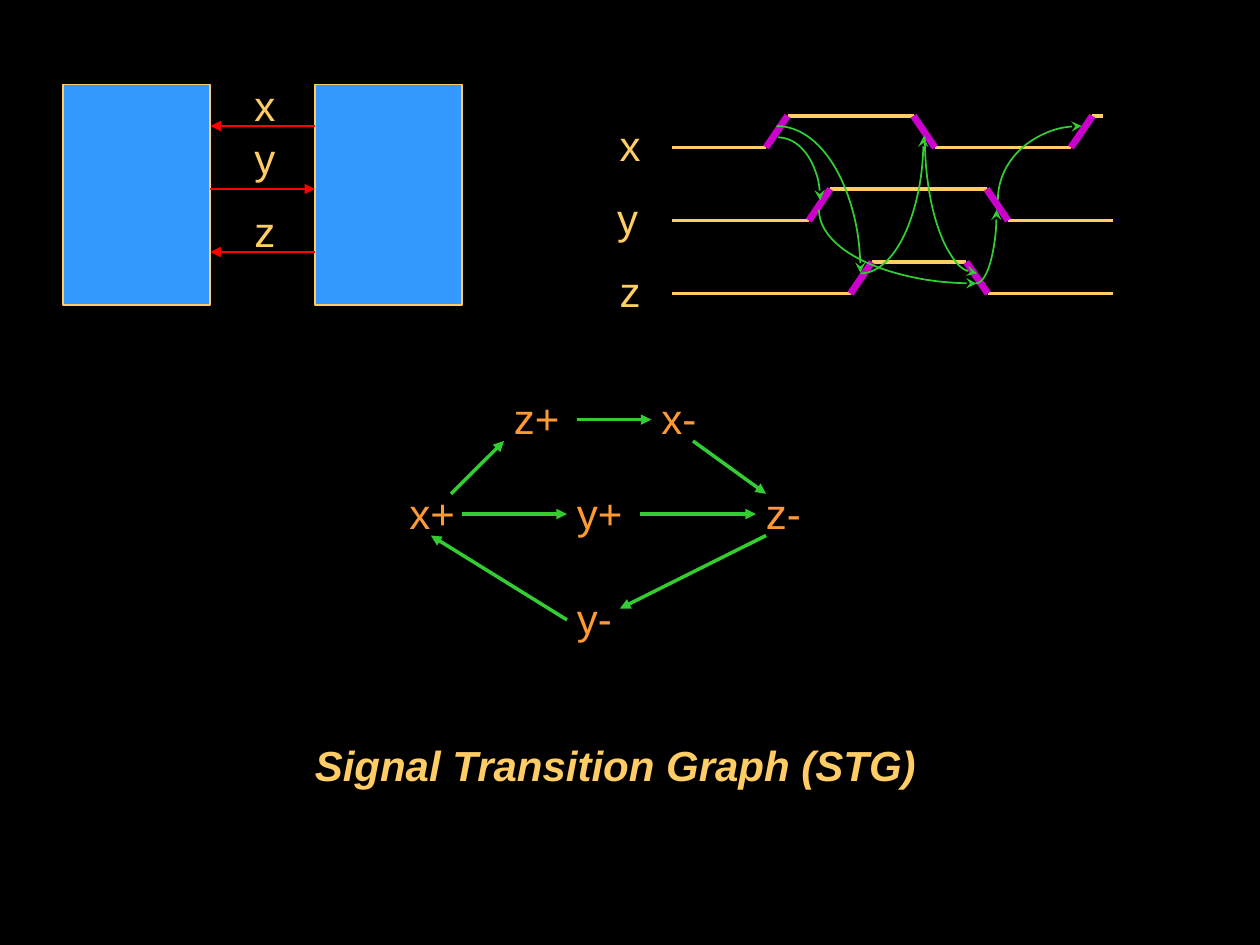
from lxml import etree
from pptx import Presentation
from pptx.dml.color import RGBColor
from pptx.enum.shapes import MSO_CONNECTOR, MSO_SHAPE
from pptx.enum.text import MSO_AUTO_SIZE
from pptx.oxml.ns import qn
from pptx.util import Inches, Pt

STRAIGHT = MSO_CONNECTOR.STRAIGHT
RECTANGLE = MSO_SHAPE.RECTANGLE
ARC = MSO_SHAPE.ARC
FIT_TEXT = MSO_AUTO_SIZE.SHAPE_TO_FIT_TEXT

BLACK = RGBColor(0x00, 0x00, 0x00)
GOLD = RGBColor(0xFF, 0xCC, 0x66)
ORANGE = RGBColor(0xFF, 0x99, 0x33)
BLUE = RGBColor(0x33, 0x99, 0xFF)
RED = RGBColor(0xFF, 0x00, 0x00)
GREEN = RGBColor(0x33, 0xCC, 0x33)
MAGENTA = RGBColor(0xCC, 0x00, 0xCC)

EDGE_WIDTH = 0.17
SWING = 0.25
LABEL_HEIGHT = 0.5

# name, label left, low level, left end, edge starts, right end
WAVEFORMS = [
    ("x", 4.82, 1.17, 5.33, [6.08, 7.25, 8.5], 8.75),
    ("y", 4.8, 1.75, 5.33, [6.42, 7.83], 8.83),
    ("z", 4.82, 2.33, 5.33, [6.75, 7.67], 8.83),
]

# ellipse left, top, width, height, start angle, arrowhead end
CAUSES = [
    (5.5, 1, 1.33, 2.33, 270, "tailEnd"),
    (5.84, 1.09, 0.67, 1, 270, "tailEnd"),
    (6.33, 0, 1, 2.17, 0, "headEnd"),
    (6.5, 1.08, 2.5, 1.17, 90, "headEnd"),
    (7.34, 0, 0.83, 2.17, 90, "headEnd"),
    (7.58, 1.08, 0.33, 1.17, 0, "headEnd"),
    (7.92, 1, 1.33, 1.17, 180, "tailEnd"),
]

# text, left, top, width
EVENTS = [
    ("x+", 3.15, 3.82, 0.56),
    ("x-", 5.15, 3.07, 0.48),
    ("y+", 4.48, 3.82, 0.56),
    ("y-", 4.48, 4.65, 0.48),
    ("z+", 3.98, 3.07, 0.56),
    ("z-", 5.98, 3.82, 0.48),
]

EVENT_ARROWS = [
    ((3.58, 3.92), (4, 3.5)),
    ((3.67, 4.08), (4.5, 4.08)),
    ((4.58, 3.33), (5.17, 3.33)),
    ((5.5, 3.5), (6.08, 3.92)),
    ((5.08, 4.08), (6, 4.08)),
    ((6.08, 4.25), (4.92, 4.83)),
    ((4.5, 4.92), (3.42, 4.25)),
]

BLOCK_LEFTS = (0.5, 2.5)
BLOCK_WIDTH = 1.17
# name, label top, from x, to x, wire y
WIRES = [
    ("x", 0.58, 2.5, 1.67, 1),
    ("y", 1, 1.67, 2.5, 1.5),
    ("z", 1.58, 2.5, 1.67, 2),
]


class Diagram:
    """Draws on one slide in a single style."""

    font_name = "Arial"
    font_size = Pt(24)

    def __init__(self, slide):
        self.slide = slide
        self.shapes = slide.shapes
        slide.background.fill.solid()
        slide.background.fill.fore_color.rgb = BLACK

    def label(self, text, left, top, width, color=GOLD, emphasis=False):
        box = self.shapes.add_textbox(
            Inches(left), Inches(top), Inches(width), Inches(LABEL_HEIGHT))
        frame = box.text_frame
        frame.word_wrap = False
        frame.auto_size = FIT_TEXT
        run = frame.paragraphs[0].add_run()
        run.text = text
        font = run.font
        font.name = self.font_name
        font.size = self.font_size
        font.bold = font.italic = emphasis
        font.color.rgb = color

    def stroke(self, shape, color, width):
        shape.line.color.rgb = color
        shape.line.width = Pt(width)

    def arrowhead(self, shape, end, kind):
        etree.SubElement(shape.get_or_add_ln(), qn(f"a:{end}"), type=kind)

    def line(self, start, stop, color, width, arrow=False):
        connector = self.shapes.add_connector(
            STRAIGHT, *(Inches(value) for value in (*start, *stop)))
        self.stroke(connector, color, width)
        if arrow:
            self.arrowhead(connector, "tailEnd", "triangle")
        etree.SubElement(connector._element.spPr, qn("a:effectLst"))

    def block(self, left, top, width, height):
        shape = self.shapes.add_shape(
            RECTANGLE, Inches(left), Inches(top), Inches(width), Inches(height))
        shape.shadow.inherit = False
        shape.fill.solid()
        shape.fill.fore_color.rgb = BLUE
        self.stroke(shape, GOLD, 1)

    def quarter_arc(self, left, top, width, height, angle, end):
        """Draw a clockwise quarter of the given ellipse from angle, in degrees."""
        shape = self.shapes.add_shape(
            ARC, Inches(left), Inches(top), Inches(width), Inches(height))
        shape.shadow.inherit = False
        # Angles are stored in 1/60000 degree, adjustments in 1/100000.
        shape.adjustments[0] = angle * 0.6
        shape.adjustments[1] = (angle + 90) % 360 * 0.6
        shape.fill.background()
        self.stroke(shape, GREEN, 1)
        self.arrowhead(shape, end, "stealth")

    def waveform(self, low, left, edges, right):
        """Draw a signal that starts low and toggles at each edge."""
        level, other = low, low - SWING
        position = left
        slopes = []
        for edge in edges:
            self.line((position, level), (edge, level), GOLD, 2)
            position = edge + EDGE_WIDTH
            slopes.append(((edge, level), (position, other)))
            level, other = other, level
        self.line((position, level), (right, level), GOLD, 2)
        for start, stop in slopes:
            self.line(start, stop, GOLD, 2)
            self.line(start, stop, MAGENTA, 4)


def main():
    presentation = Presentation()
    presentation.slide_width = Inches(10)
    presentation.slide_height = Inches(7.5)
    diagram = Diagram(presentation.slides.add_slide(presentation.slide_layouts[6]))

    for name, label_left, low, left, edges, right in WAVEFORMS:
        diagram.label(name, label_left, low - 0.27, 0.37)
        diagram.waveform(low, left, edges, right)
    for cause in CAUSES:
        diagram.quarter_arc(*cause)

    for event in EVENTS:
        diagram.label(*event, color=ORANGE)
    for start, stop in EVENT_ARROWS:
        diagram.line(start, stop, GREEN, 2, arrow=True)
    diagram.label("Signal Transition Graph (STG)", 2.4, 5.82, 4.98, emphasis=True)

    for left in BLOCK_LEFTS:
        diagram.block(left, 0.67, BLOCK_WIDTH, 1.75)
    for name, label_top, start, stop, height in WIRES:
        diagram.line((start, height), (stop, height), RED, 1, arrow=True)
        diagram.label(name, 1.92, label_top, 0.37)

    presentation.save("out.pptx")


if __name__ == "__main__":
    main()
